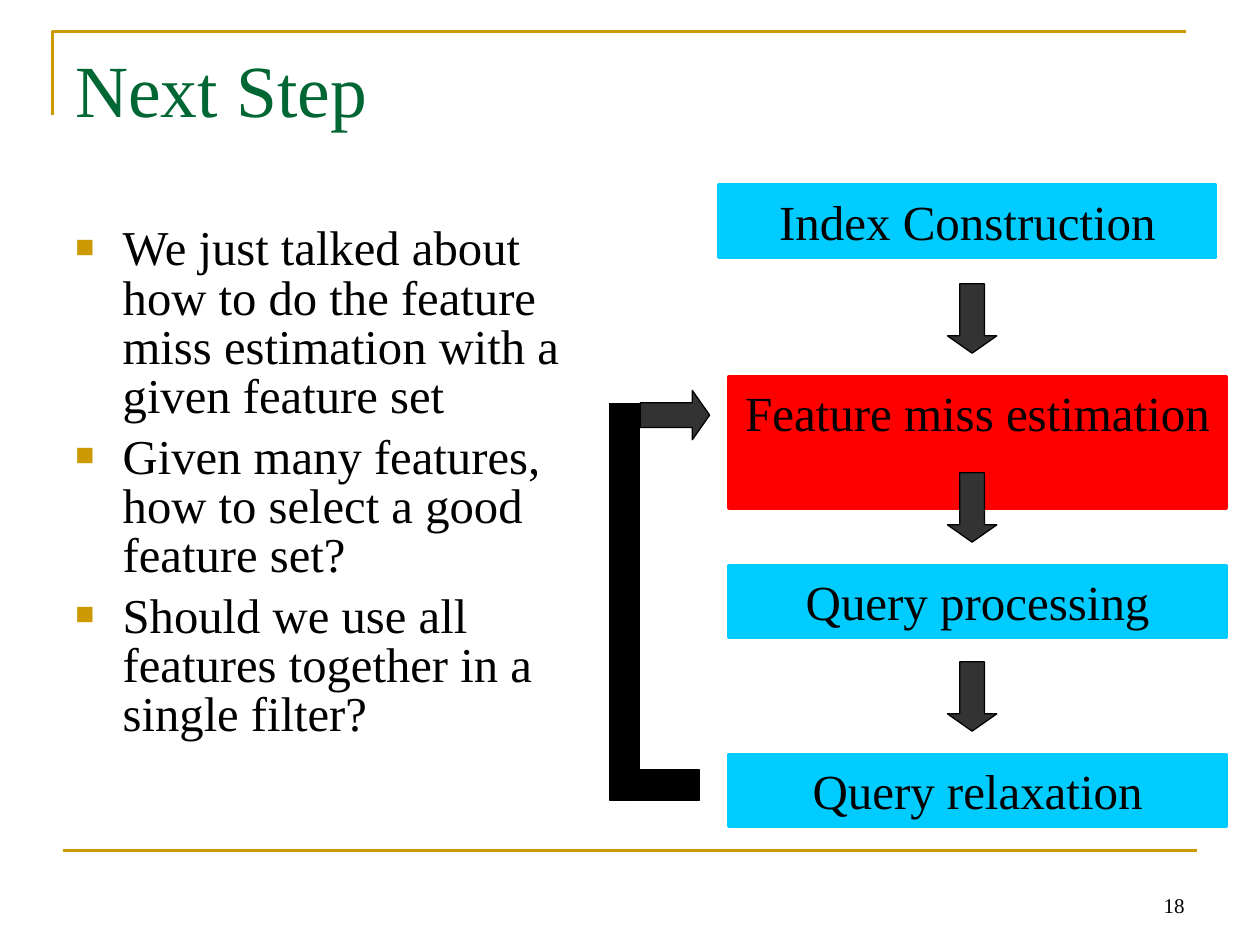
from lxml.etree import SubElement
from pptx import Presentation
from pptx.dml.color import RGBColor
from pptx.enum.shapes import MSO_CONNECTOR, MSO_SHAPE
from pptx.enum.text import MSO_ANCHOR, PP_ALIGN
from pptx.oxml.ns import qn
from pptx.util import Pt

FONT = "Times New Roman"
GOLD, GREEN, BLACK = "CC9900", "006633", "000000"
CYAN, RED, GRAY = "00CCFF", "FF0000", "333333"

BULLETS = [
    "We just talked about how to do the feature miss estimation with a given feature set",
    "Given many features, how to select a good feature set?",
    "Should we use all features together in a single filter?",
]
# label, left offset, top offset, height, fill
STEPS = [
    ("Index Construction", 0, 0, 41, CYAN),
    ("Feature miss estimation", 5.8, 109.4, 75, RED),
    ("Query processing", 5.8, 217.4, 41, CYAN),
    ("Query relaxation", 5.8, 325.4, 41, CYAN),
]


def rgb(value):
    return RGBColor.from_string(value)


def set_line(sp, color, width):
    sp.line.color.rgb = rgb(color)
    sp.line.width = Pt(width)


def add_text(p, text, size, color=BLACK, align=PP_ALIGN.LEFT):
    p.alignment = align
    r = p.add_run()
    r.text = text
    r.font.name = FONT
    r.font.size = Pt(size)
    r.font.color.rgb = rgb(color)


def add_textbox(s, x, y, w, h, anchor=MSO_ANCHOR.TOP):
    tf = s.shapes.add_textbox(Pt(x), Pt(y), Pt(w), Pt(h)).text_frame
    tf.word_wrap = True
    tf.vertical_anchor = anchor
    return tf


def add_block(s, kind, x, y, w, h, fill, line, width):
    sp = s.shapes.add_shape(kind, Pt(x), Pt(y), Pt(w), Pt(h))
    sp.shadow.inherit = False
    sp.fill.solid()
    sp.fill.fore_color.rgb = rgb(fill)
    set_line(sp, line, width)
    return sp


def add_down_arrow(s, x, y, rotation=0):
    sp = add_block(s, MSO_SHAPE.DOWN_ARROW, x, y, 28.2, 39.6, GRAY, BLACK, 0.75)
    sp.adjustments[0], sp.adjustments[1] = 0.5, 0.35
    sp.rotation = rotation


def add_bullet(p):
    pPr = p._p.get_or_add_pPr()
    pPr.set("marL", str(Pt(27)))
    pPr.set("indent", str(Pt(-27)))
    color = SubElement(pPr, qn("a:buClr"))
    SubElement(color, qn("a:srgbClr"), val=GOLD)
    SubElement(pPr, qn("a:buSzPct"), val="65000")
    SubElement(pPr, qn("a:buFont"), typeface=FONT)
    SubElement(pPr, qn("a:buChar"), char="■")


def add_frame(s, x, y, w, h):
    """Gold corner at the top left and gold rule at the foot."""
    builder = s.shapes.build_freeform(Pt(x), Pt(y + 48))
    builder.add_line_segments([(Pt(x), Pt(y)), (Pt(x + w), Pt(y))], close=False)
    corner = builder.convert_to_shape()
    corner.shadow.inherit = False
    corner.fill.background()
    set_line(corner, GOLD, 1.5)
    rule = s.shapes.add_connector(
        MSO_CONNECTOR.STRAIGHT, Pt(x + 6), Pt(y + h), Pt(x + 6 + w), Pt(y + h))
    set_line(rule, GOLD, 1.5)
    SubElement(rule._element.spPr, qn("a:effectLst"))


def add_title(s, x, y, w, h):
    tf = add_textbox(s, x, y, w, h)
    add_text(tf.paragraphs[0], "Next Step", 42, GREEN)


def add_bullets(s, x, y, w, h):
    tf = add_textbox(s, x, y, w, h)
    for i, text in enumerate(BULLETS):
        p = tf.add_paragraph() if i else tf.paragraphs[0]
        add_bullet(p)
        p.line_spacing = 0.84
        if i:
            p.space_before = Pt(6.8)
        add_text(p, text, 27.8)


def add_flow(s, x, y, w):
    """Four steps joined by three evenly spaced arrows."""
    for label, dx, dy, h, fill in STEPS:
        sp = add_block(s, MSO_SHAPE.RECTANGLE, x + dx, y + dy, w, h, fill, fill, 2.25)
        tf = sp.text_frame
        tf.word_wrap = True
        tf.vertical_anchor = MSO_ANCHOR.TOP
        add_text(tf.paragraphs[0], label, 28, align=PP_ALIGN.CENTER)
    for i in range(3):
        add_down_arrow(s, x + 130.4, y + 56.4 + 108 * i)


def add_feedback_loop(s, x, y, w, h):
    """Path from the last step back to the second one."""
    bar = 17.2
    add_down_arrow(s, x + 23.2, y - 13, rotation=270)
    add_block(s, MSO_SHAPE.RECTANGLE, x, y, bar, h, BLACK, BLACK, 0.75)
    add_block(s, MSO_SHAPE.RECTANGLE, x + bar, y + h - bar, w - bar, bar,
              BLACK, BLACK, 0.75)


def add_page_number(s, x, y, w, h):
    tf = add_textbox(s, x, y, w, h, MSO_ANCHOR.BOTTOM)
    add_text(tf.paragraphs[0], "18", 12, align=PP_ALIGN.RIGHT)


def main():
    prs = Presentation()
    prs.slide_width, prs.slide_height = Pt(720), Pt(540)
    s = prs.slides.add_slide(prs.slide_layouts[6])
    add_frame(s, 30, 18, 648, 468)
    add_title(s, 36, 21.6, 648, 90)
    add_bullets(s, 36, 126, 301.7, 356.4)
    add_flow(s, 411, 105.8, 283.6)
    add_feedback_loop(s, 348.4, 230.4, 51.2, 226.8)
    add_page_number(s, 516, 492, 168, 36)
    prs.save("out.pptx")


if __name__ == "__main__":
    main()
